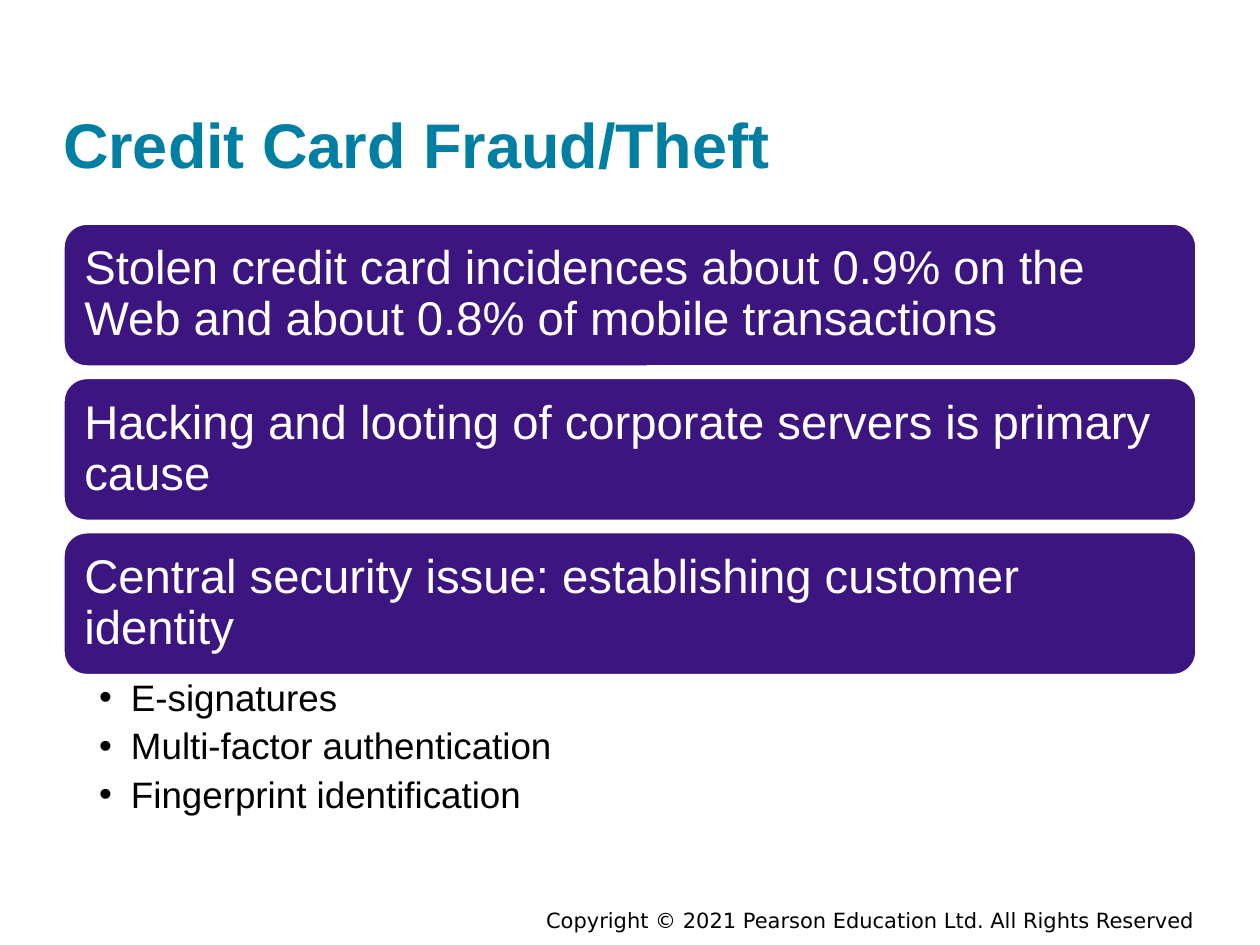
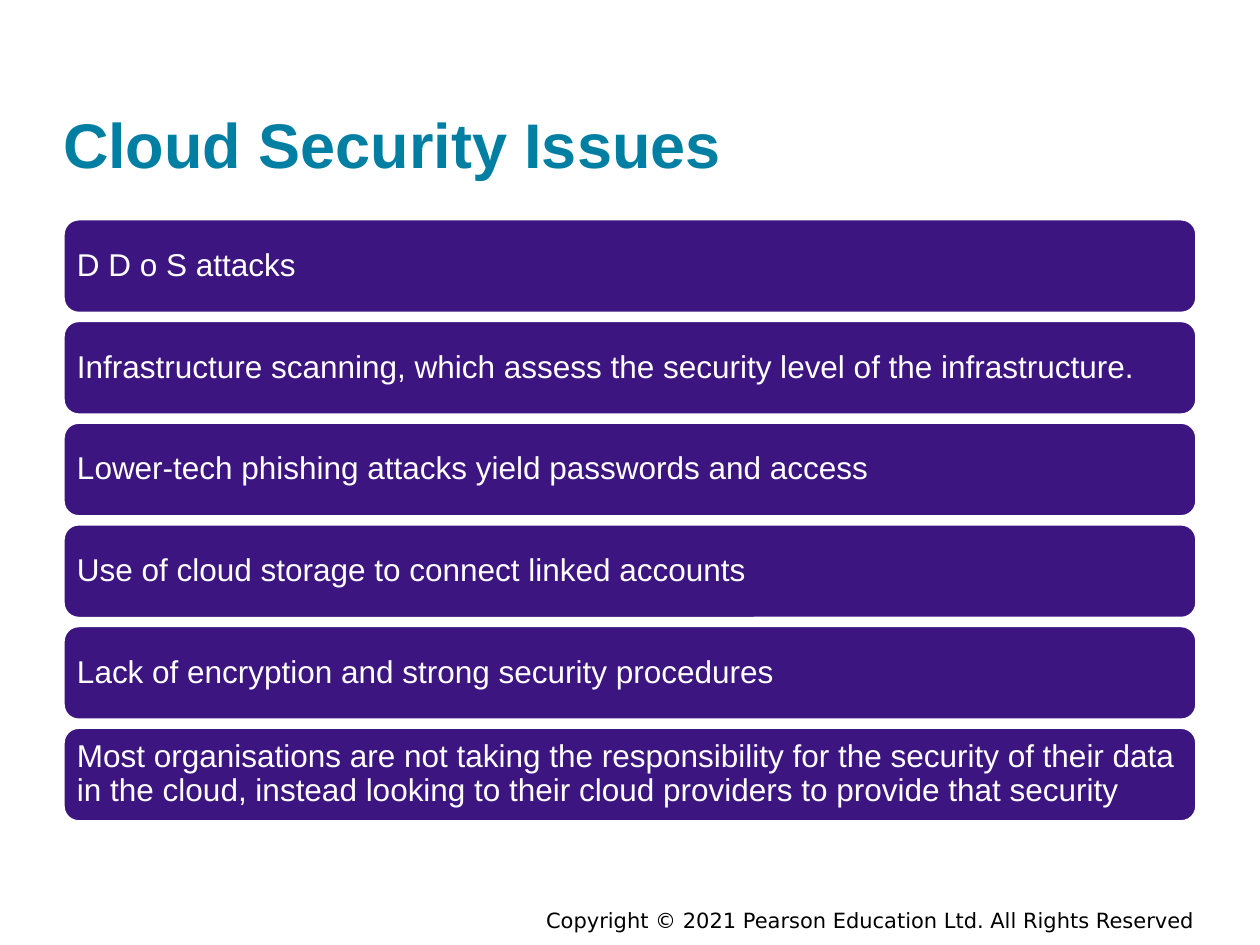
from dataclasses import dataclass

from lxml.etree import SubElement
from pptx import Presentation
from pptx.dml.color import RGBColor
from pptx.enum.shapes import MSO_SHAPE
from pptx.enum.text import MSO_ANCHOR, MSO_AUTO_SIZE, PP_ALIGN
from pptx.oxml.ns import qn
from pptx.slide import Slide
from pptx.util import Cm, Pt

# Shared look
TEAL = RGBColor(0x00, 0x7F, 0xA3)
PURPLE = RGBColor(0x3C, 0x15, 0x81)
WHITE = RGBColor(0xFF, 0xFF, 0xFF)
BLACK = RGBColor(0x00, 0x00, 0x00)
FACE = "Arial"
LEFT, WIDTH = Cm(1.27), Cm(22.86)
NOTICE = "Copyright © 2021 Pearson Education Ltd. All Rights Reserved"


@dataclass(frozen=True)
class Stack:
    """Equal bars, one below the other; lengths in cm, size in points."""
    top: float
    height: float
    pitch: float
    inset: float
    size: int
    texts: tuple[str, ...]


def set_font(para, size: int, color: RGBColor, name: str = FACE, bold: bool = False) -> None:
    font = para.font
    font.name, font.size, font.bold = name, Pt(size), bold
    font.color.rgb = color


def set_inset(frame, left, top, right, bottom) -> None:
    frame.margin_left, frame.margin_top = left, top
    frame.margin_right, frame.margin_bottom = right, bottom


def place(shape, left, top, width, height) -> None:
    shape.left, shape.top, shape.width, shape.height = left, top, width, height


def add_page(deck, layout: int, title: str) -> Slide:
    page = deck.slides.add_slide(deck.slide_layouts[layout])
    # Title
    head = page.shapes.title
    place(head, LEFT, Cm(0.61), WIDTH, Cm(3.05))
    frame = head.text_frame
    frame.text = title
    frame.auto_size = MSO_AUTO_SIZE.NONE
    frame.vertical_anchor = MSO_ANCHOR.BOTTOM
    set_inset(frame, 0, 0, 0, 0)
    frame.paragraphs[0].alignment = PP_ALIGN.LEFT
    set_font(frame.paragraphs[0], 36, TEAL, bold=True)
    # Footer
    foot = page.shapes.add_textbox(Cm(7.52), Cm(18.03), Cm(16.81), Cm(1.02)).text_frame
    foot.word_wrap = True
    foot.vertical_anchor = MSO_ANCHOR.MIDDLE
    foot.text = NOTICE
    foot.paragraphs[0].alignment = PP_ALIGN.RIGHT
    set_font(foot.paragraphs[0], 12, BLACK, "DejaVu Sans")
    return page


def add_stack(page: Slide, stack: Stack) -> None:
    for row, text in enumerate(stack.texts):
        bar = page.shapes.add_shape(
            MSO_SHAPE.ROUNDED_RECTANGLE, LEFT, Cm(stack.top + row * stack.pitch),
            WIDTH, Cm(stack.height))
        bar.shadow.inherit = False
        bar.fill.solid()
        bar.fill.fore_color.rgb = PURPLE
        bar.line.color.rgb = WHITE
        bar.line.width = Pt(2)
        frame = bar.text_frame
        frame.word_wrap = True
        frame.vertical_anchor = MSO_ANCHOR.MIDDLE
        set_inset(frame, *[Cm(stack.inset)] * 4)
        frame.text = text
        para = frame.paragraphs[0]
        para.alignment = PP_ALIGN.LEFT
        para.line_spacing = 0.9
        set_font(para, stack.size, WHITE)


def fill_list(page: Slide, items: tuple[str, ...]) -> None:
    body = page.placeholders[1]
    place(body, LEFT, Cm(13.61), WIDTH, Cm(2.87))
    frame = body.text_frame
    frame.auto_size = MSO_AUTO_SIZE.NONE
    frame.vertical_anchor = MSO_ANCHOR.TOP
    set_inset(frame, Cm(0.73), Cm(0.09), Cm(0.53), Cm(0.09))
    frame.text = "\n".join(items)
    for para in frame.paragraphs:
        props = para._p.get_or_add_pPr()
        props.set("marL", str(Cm(0.64)))
        props.set("indent", str(-Cm(0.64)))
        SubElement(props, qn("a:buChar")).set("char", "•")
        para.line_spacing = 0.9
        para.space_before, para.space_after = Pt(0), Pt(5)
        set_font(para, 21, BLACK)


FRAUD = Stack(4.5, 2.9, 3.11, 0.29, 27, (
    "Stolen credit card incidences about 0.9% on the Web and about 0.8% of mobile transactions",
    "Hacking and looting of corporate servers is primary cause",
    "Central security issue: establishing customer identity",
))
CHECKS = ("E-signatures", "Multi-factor authentication", "Fingerprint identification")
CLOUD = Stack(4.41, 1.91, 2.05, 0.19, 18, (
    "D D o S attacks",
    "Infrastructure scanning, which assess the security level of the infrastructure.",
    "Lower-tech phishing attacks yield passwords and access",
    "Use of cloud storage to connect linked accounts",
    "Lack of encryption and strong security procedures",
    "Most organisations are not taking the responsibility for the security of their data "
    "in the cloud, instead looking to their cloud providers to provide that security",
))


def main() -> None:
    deck = Presentation()
    deck.slide_width, deck.slide_height = Cm(25.4), Cm(19.05)

    # Card fraud: bars with a list below
    page = add_page(deck, 1, "Credit Card Fraud/Theft")
    add_stack(page, FRAUD)
    fill_list(page, CHECKS)

    # Cloud issues: bars only
    page = add_page(deck, 5, "Cloud Security Issues")
    add_stack(page, CLOUD)

    deck.save("out.pptx")


if __name__ == "__main__":
    main()
